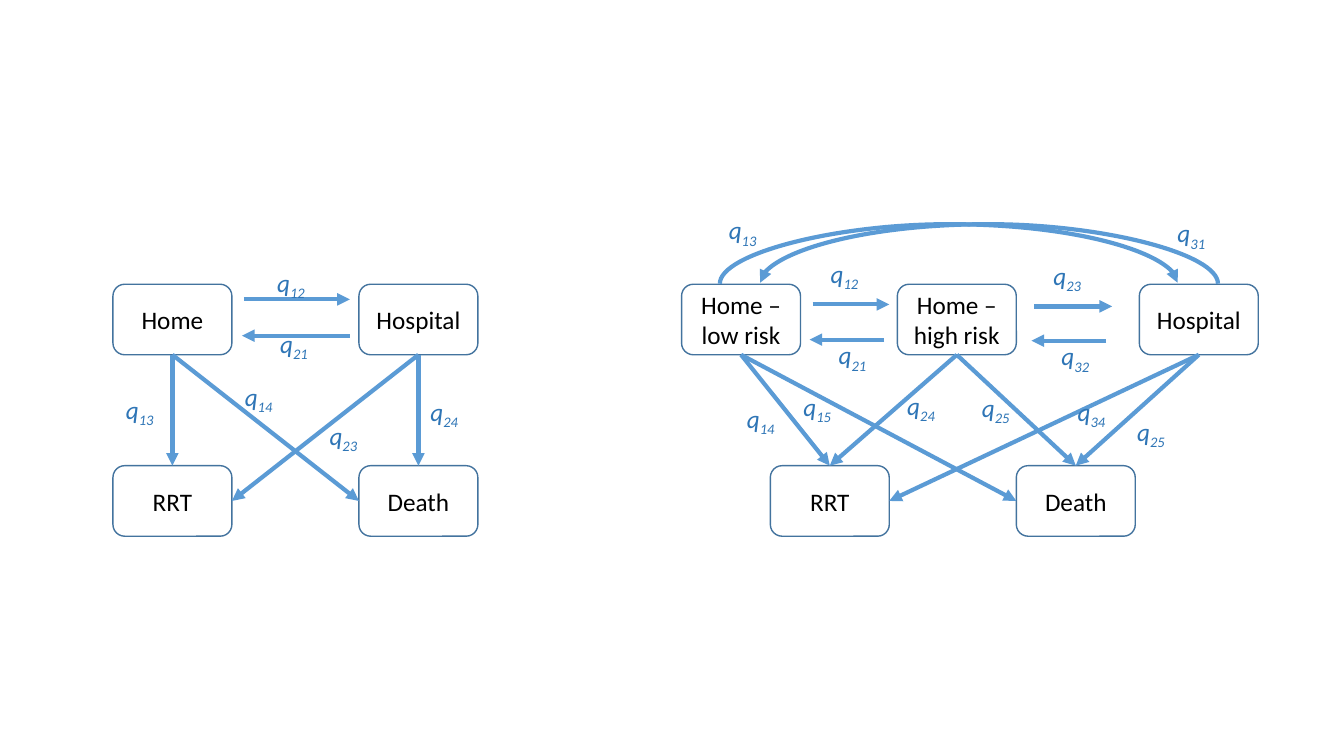
from dataclasses import dataclass

from lxml.etree import SubElement
from pptx import Presentation
from pptx.dml.color import RGBColor
from pptx.enum.shapes import MSO_CONNECTOR as Link, MSO_SHAPE as Preset
from pptx.enum.text import MSO_ANCHOR as Anchor, PP_ALIGN as Align
from pptx.oxml.ns import qn
from pptx.util import Inches, Pt


@dataclass(frozen=True)
class Theme:
    font: str = "Calibri"
    size: Pt = Pt(18)
    text: RGBColor = RGBColor(0, 0, 0)
    label: RGBColor = RGBColor(0x2E, 0x75, 0xB6)
    fill: RGBColor = RGBColor(255, 255, 255)
    border: RGBColor = RGBColor(0x43, 0x73, 0x9E)
    arrow: RGBColor = RGBColor(0x5B, 0x9B, 0xD5)
    border_width: Pt = Pt(1)
    arrow_width: Pt = Pt(3)


THEME = Theme()
BOX_WIDTH, BOX_HEIGHT = 1.18, 0.7
LIVING_TOP, END_TOP = 2.82, 4.62
LABEL_WIDTH, LABEL_HEIGHT = 0.5, 0.4
ARC_SPAN, ARC_RISE, ARC_DROP = 4.54, 0.6, 0.01
ARC_MIDDLE = 2.81
TOP, LEFT, BOTTOM, RIGHT = range(4)

TWO_STATE_MODEL = {
    "boxes": {
        "home": ("Home", 1.12, LIVING_TOP),
        "hospital": ("Hospital", 3.56, LIVING_TOP),
        "rrt": ("RRT", 1.12, END_TOP),
        "death": ("Death", 3.56, END_TOP),
    },
    "joined": [
        ("home", "rrt", TOP), ("home", "death", LEFT),
        ("hospital", "rrt", RIGHT), ("hospital", "death", TOP),
    ],
    "free": [(2.42, 3.47, 2.97), (3.47, 2.4, 3.33)],
    "labels": [
        ("12", 2.65, 2.6), ("21", 2.68, 3.21), ("13", 1.15, 3.86),
        ("14", 2.33, 3.73), ("23", 3.17, 4.12), ("24", 4.17, 3.88),
    ],
    "arcs": [],
}

THREE_STATE_MODEL = {
    "boxes": {
        "low": ("Home – low risk", 6.76, LIVING_TOP),
        "high": ("Home – high risk", 8.9, LIVING_TOP),
        "hospital": ("Hospital", 11.3, LIVING_TOP),
        "rrt": ("RRT", 7.64, END_TOP),
        "death": ("Death", 10.08, END_TOP),
    },
    "joined": [
        ("low", "rrt", TOP), ("low", "death", LEFT),
        ("high", "rrt", TOP), ("high", "death", TOP),
        ("hospital", "rrt", RIGHT), ("hospital", "death", TOP),
    ],
    "free": [
        (8.06, 8.82, 3.02), (8.77, 8.03, 3.37),
        (10.26, 11.03, 3.04), (10.97, 10.23, 3.38),
    ],
    "labels": [
        ("12", 8.14, 2.51), ("21", 8.22, 3.32), ("23", 10.35, 2.53),
        ("32", 10.43, 3.33), ("14", 7.31, 3.95), ("15", 7.87, 3.83),
        ("24", 8.9, 3.82), ("25", 9.64, 3.84), ("34", 10.59, 3.88),
        ("25", 11.18, 4.08), ("13", 7.13, 2.08), ("31", 11.58, 2.11),
    ],
    "arcs": [(9.41, True), (9.81, False)],
}


def apply_format(target, values):
    for name, value in values.items():
        setattr(target, name, value)


def add_run(paragraph, text, color, **extra):
    run = paragraph.add_run()
    run.text = text
    apply_format(run.font, {"name": THEME.font, "size": THEME.size, **extra})
    run.font.color.rgb = color
    return run


def add_box(slide, text, left, top):
    shape = slide.shapes.add_shape(
        Preset.ROUNDED_RECTANGLE,
        Inches(left), Inches(top), Inches(BOX_WIDTH), Inches(BOX_HEIGHT),
    )
    shape.shadow.inherit = False
    shape.fill.solid()
    shape.fill.fore_color.rgb = THEME.fill
    shape.line.color.rgb = THEME.border
    shape.line.width = THEME.border_width
    apply_format(shape.text_frame, {"word_wrap": True, "vertical_anchor": Anchor.MIDDLE})
    paragraph = shape.text_frame.paragraphs[0]
    paragraph.alignment = Align.CENTER
    add_run(paragraph, text, THEME.text)
    return shape


def add_label(slide, subscript, left, top):
    shape = slide.shapes.add_textbox(
        Inches(left), Inches(top), Inches(LABEL_WIDTH), Inches(LABEL_HEIGHT)
    )
    apply_format(shape.text_frame, {"word_wrap": True, "margin_right": 0})
    paragraph = shape.text_frame.paragraphs[0]
    add_run(paragraph, "q", THEME.label, italic=True)
    index = add_run(paragraph, subscript, THEME.label, italic=True)
    index.font._element.set("baseline", "-25000")


def add_arrow(slide, begin=(0, 0), end=(0, 0), kind=Link.STRAIGHT):
    connector = slide.shapes.add_connector(
        kind, *(Inches(value) for value in (*begin, *end))
    )
    connector.line.color.rgb = THEME.arrow
    connector.line.width = THEME.arrow_width
    SubElement(connector.line._get_or_add_ln(), qn("a:tailEnd"), type="triangle")
    SubElement(connector._element.spPr, qn("a:effectLst"))
    return connector


def add_joined_arrow(slide, source, target, side):
    connector = add_arrow(slide)
    connector.begin_connect(source, BOTTOM)
    connector.end_connect(target, side)


def add_arc(slide, middle, rightward):
    near, far = middle - ARC_DROP / 2, middle + ARC_DROP / 2
    begin_x, end_x = (far, near) if rightward else (near, far)
    connector = add_arrow(
        slide,
        (begin_x, ARC_MIDDLE + ARC_SPAN / 2),
        (end_x, ARC_MIDDLE - ARC_SPAN / 2),
        Link.CURVE,
    )
    connector.rotation = 90 if rightward else 270
    adjustments = connector._element.spPr.find(qn("a:prstGeom")).find(qn("a:avLst"))
    bend = round(ARC_RISE / ARC_DROP * 100000)
    SubElement(adjustments, qn("a:gd"), name="adj1", fmla=f"val {bend}")


def add_model(slide, model):
    boxes = {name: add_box(slide, *box) for name, box in model["boxes"].items()}
    for source, target, side in model["joined"]:
        add_joined_arrow(slide, boxes[source], boxes[target], side)
    for begin_x, end_x, level in model["free"]:
        add_arrow(slide, (begin_x, level), (end_x, level))
    for label in model["labels"]:
        add_label(slide, *label)
    for arc in model["arcs"]:
        add_arc(slide, *arc)


def main():
    presentation = Presentation()
    apply_format(presentation, {"slide_width": Inches(13.33), "slide_height": Inches(7.5)})
    slide = presentation.slides.add_slide(presentation.slide_layouts[6])
    for model in (TWO_STATE_MODEL, THREE_STATE_MODEL):
        add_model(slide, model)
    presentation.save("out.pptx")


if __name__ == "__main__":
    main()
